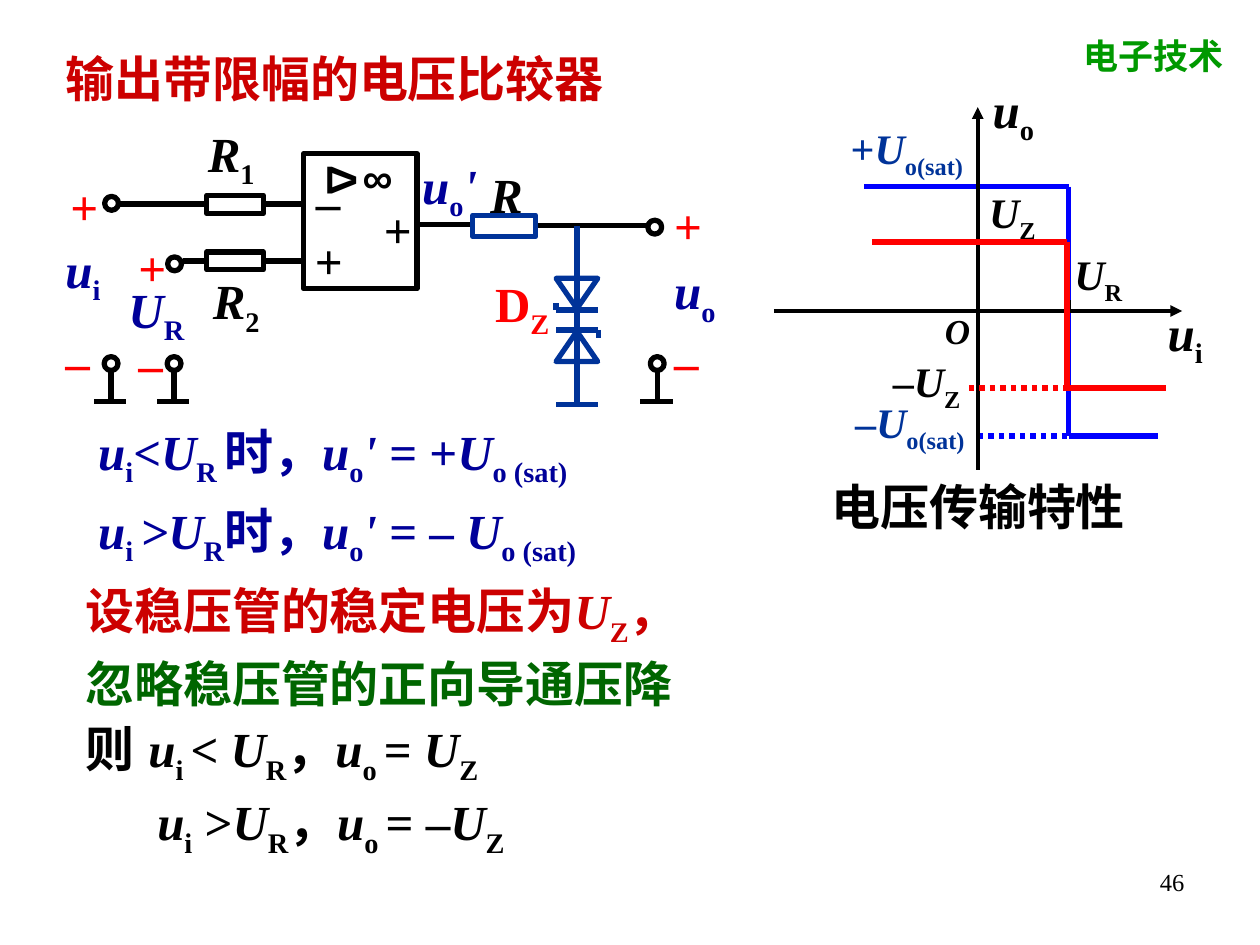
from lxml import etree
from pptx import Presentation
from pptx import util as u
from pptx.dml.color import RGBColor
from pptx.enum import dml, shapes, text
from pptx.oxml.ns import qn

COLORS = {"black": "000000", "red": "FF0000", "title": "CC0000", "navy": "000099",
          "blue": "003399", "curve": "0000FF", "green": "006600", "header": "009900"}
SERIF, SANS = "Times New Roman", "Arial"
FRAME = {"word_wrap": True, "auto_size": text.MSO_AUTO_SIZE.NONE,
         "vertical_anchor": text.MSO_ANCHOR.TOP,
         "margin_left": u.Cm(0.25), "margin_right": u.Cm(0.25),
         "margin_top": u.Cm(0.13), "margin_bottom": u.Cm(0.13)}

# Markup: runs are parted by "|"; "/" starts an italic run, "_" a subscript.
SIGNAL_LABELS = [  # left, top, width, markup, size, colour
    (8.26, 3, 2.11, "/u|_o|/'", 28, "navy"),
    (2.34, 5.51, 1.9, "/U|_R", 28, "navy"),
    (13.34, 5.13, 1.9, "/u|_o", 28, "navy"),
    (1.07, 4.7, 1.9, "/u|_i", 28, "navy"),
    (9.73, 5.38, 1.9, "D|_Z", 28, "red"),
    (9.63, 3.18, 1.3, "/R", 28, "black"),
    (3.94, 2.36, 1.55, "/R|_1", 28, "black"),
    (4.04, 5.33, 1.5, "/R|_2", 28, "black"),
    (6.12, 3.33, 1.4, "–", 28, "black"),
    (6.1, 4.52, 1.2, "+", 28, "black"),
    (7.49, 3.89, 1.4, "+", 28, "black"),
]
POLARITY_SIGNS = [(13.34, 3.81, "+"), (1.17, 3.43, "+"), (2.54, 4.65, "+"),
                  (13.34, 6.55, "–"), (1.07, 6.55, "–"), (2.54, 6.6, "–")]
GRAPH_LABELS = [
    (19.69, 3.63, 2.03, "/U|_Z", 24, "black"),
    (17.75, 7.04, 2.2, "–|/U|_Z", 24, "black"),
    (16.99, 7.87, 3.4, "–|/U|_o(sat)", 24, "blue"),
    (16.9, 2.34, 3.4, "+|/U|_o(sat)", 24, "blue"),
    (23.29, 5.97, 1.6, "/u|_i", 28, "black"),
    (19.76, 1.47, 1.83, "/u|_o", 28, "black"),
    (18.8, 6.1, 1.14, "/O", 20, "black"),
    (21.41, 4.88, 1.5, "/U|_R", 24, "black"),
    (16.51, 9.47, 7.77, "电压传输特性", 28, "black"),
]
SATURATION = ["/u|_i|/<U|_R|\t时，|/u|_o|/' |= +|/U|_o (sat)",
              "/u|_i |/>U|_R|\t时，|/u|_o|/' |= – |/U|_o (sat)"]
LIMITING = [  # markup, colour, indent
    ("设稳压管的稳定电压为|/U|_Z|，", "title", 0),
    ("忽略稳压管的正向导通压降", "green", 0),
    ("则\t|/u|_i |< |/U|_R|，|/u|_o |=|/ U|_Z", "black", 0),
    ("/u|_i| >|/U|_R|，|/u|_o |= –|/U|_Z", "black", 1.45),
]


def set_all(target, values):
    for name, value in values.items():
        setattr(target, name, value)


def rgb(color):
    return RGBColor.from_string(COLORS[color])


def place(shape, left, top, width, height):
    set_all(shape, dict(zip(("left", "top", "width", "height"),
                            map(u.Cm, (left, top, width, height)))))


def write(paragraph, markup, size, color, font=SERIF, bold=True):
    for part in markup.split("|"):
        run = paragraph.add_run()
        run.text = part.lstrip("/_")
        set_all(run.font, {"name": font, "size": u.Pt(size), "bold": bold,
                           "italic": part.startswith("/")})
        run.font.color.rgb = rgb(color)
        if part.startswith("_"):
            run.font._element.set("baseline", "-25000")


def set_layout(paragraph, before, indent=0, tab=None):
    """Unbulleted paragraph with a left indent and an optional tab stop, in cm."""
    paragraph.space_before = u.Pt(before)
    props = paragraph._p.get_or_add_pPr()
    props.set("marL", str(u.Cm(indent)))
    props.set("indent", "0")
    etree.SubElement(props, qn("a:buNone"))
    if tab:
        stops = etree.SubElement(props, qn("a:tabLst"))
        etree.SubElement(stops, qn("a:tab"), pos=str(u.Cm(tab)), algn="l")


def paragraphs(frame, count):
    return [frame.paragraphs[0]] + [frame.add_paragraph() for _ in range(count - 1)]


def add_label(slide, left, top, width, markup, size, color, font=SERIF, bold=True):
    box = slide.shapes.add_textbox(*map(u.Cm, (left, top, width, size * 0.055)))
    set_all(box.text_frame, FRAME)
    write(box.text_frame.paragraphs[0], markup, size, color, font, bold)
    return box


def add_outline(slide, kind, left, top, width, height, color="black", rotation=0):
    part = slide.shapes.add_shape(kind, *map(u.Cm, (left, top, width, height)))
    part.rotation = rotation
    part.shadow.inherit = False
    part.fill.background()
    part.line.color.rgb = rgb(color)
    part.line.width = u.Pt(3)


def add_line(slide, x1, y1, x2, y2, color="black", width=3, dotted=False, arrow=False):
    line = slide.shapes.add_connector(shapes.MSO_CONNECTOR.STRAIGHT,
                                      *map(u.Cm, (x1, y1, x2, y2)))
    line.line.color.rgb = rgb(color)
    line.line.width = u.Pt(width)
    if dotted:
        line.line.dash_style = dml.MSO_LINE.ROUND_DOT
    if arrow:
        etree.SubElement(line.line._get_or_add_ln(), qn("a:tailEnd"), type="triangle")
    etree.SubElement(line._element.spPr, qn("a:effectLst"))


def add_terminal(slide, x, y):
    add_outline(slide, shapes.MSO_SHAPE.OVAL, x - 0.14, y - 0.14, 0.28, 0.28)


def add_ground(slide, x):
    add_terminal(slide, x, 7.33)
    add_line(slide, x, 7.47, x, 8.1)
    add_line(slide, x - 0.34, 8.1, x + 0.31, 8.1)


def add_zener(slide, bar_y, top, tick_x, tick_y, rotation):
    add_outline(slide, shapes.MSO_SHAPE.ISOSCELES_TRIANGLE,
                11.21, top, 0.84, 0.61, "blue", rotation)
    add_line(slide, 11.21, bar_y, 12.06, bar_y, "blue")
    add_line(slide, tick_x, bar_y, tick_x, tick_y, "blue")


def add_circuit(slide):
    box = shapes.MSO_SHAPE.RECTANGLE
    for wire in [(2.34, 4.11, 4.17, 4.11), (3.68, 5.26, 4.17, 5.26),
                 (5.31, 4.11, 6.12, 4.11), (5.31, 5.26, 6.12, 5.26),
                 (8.41, 4.52, 9.53, 4.52), (10.8, 4.55, 13.1, 4.55)]:
        add_line(slide, *wire)
    for resistor_y in (3.94, 5.08):
        add_outline(slide, box, 4.17, resistor_y, 1.14, 0.36)
    add_outline(slide, box, 9.53, 4.34, 1.27, 0.43, "blue")
    add_outline(slide, box, 6.12, 3.1, 2.29, 2.72)
    add_line(slide, 11.63, 4.55, 11.63, 8.15, "blue")
    add_line(slide, 11.21, 8.15, 12.06, 8.15, "blue")
    add_zener(slide, 6.25, 5.61, 11.21, 6.1, 180)
    add_zener(slide, 6.65, 6.68, 12.06, 6.81, 0)
    for terminal in [(2.25, 4.1), (3.52, 5.32), (13.2, 4.58)]:
        add_terminal(slide, *terminal)
    for ground_x in (2.24, 3.51, 13.25):
        add_ground(slide, ground_x)
    for label in SIGNAL_LABELS:
        add_label(slide, *label)
    for left, top, sign in POLARITY_SIGNS:
        add_label(slide, left, top, 1.27, sign, 28, "red")
    add_label(slide, 7.06, 2.92, 2.31, "∞", 24, "black", SANS)
    amplifier = add_label(slide, 6.43, 2.97, 1.02, "Δ", 24, "black", SANS)
    amplifier.height, amplifier.rotation = u.Cm(1.27), 90
    amplifier.text_frame.paragraphs[0].alignment = text.PP_ALIGN.CENTER


def add_curve(slide, color, start, end, step_x, high, low, dots_from):
    add_line(slide, start, high, step_x, high, color)
    add_line(slide, step_x, high, step_x, low, color)
    add_line(slide, step_x, low, end, low, color)
    add_line(slide, dots_from, low, step_x, low, color, dotted=True)


def add_transfer_graph(slide):
    for label in GRAPH_LABELS:
        add_label(slide, *label)
    add_curve(slide, "curve", 17.42, 23.34, 21.54, 3.76, 8.79, 19.71)
    add_line(slide, 15.6, 6.27, 23.83, 6.27, width=2.25, arrow=True)
    add_line(slide, 19.71, 9.47, 19.71, 2.16, width=2.25, arrow=True)
    add_line(slide, 21.54, 6.05, 21.54, 6.27)
    add_curve(slide, "red", 17.58, 23.5, 21.51, 4.88, 7.82, 19.53)


def fill_placeholders(slide):
    title, body = slide.shapes.title, slide.placeholders[1]
    place(title, 1.07, 0.84, 14.6, 1.27)
    place(body, 1.47, 11.58, 15.67, 5.87)
    for holder in (title, body):
        set_all(holder.text_frame, FRAME)
    heading = title.text_frame.paragraphs[0]
    heading.alignment = text.PP_ALIGN.LEFT
    write(heading, "输出带限幅的电压比较器", 28, "title")
    lines = paragraphs(body.text_frame, len(LIMITING))
    for line, (markup, color, indent) in zip(lines, LIMITING):
        set_layout(line, 3.5, indent, tab=1.9)
        write(line, markup, 28, color)


def add_saturation_rules(slide):
    box = slide.shapes.add_textbox(*map(u.Cm, (1.73, 8.36, 12, 3.2)))
    set_all(box.text_frame, FRAME)
    for line, markup in zip(paragraphs(box.text_frame, len(SATURATION)), SATURATION):
        set_layout(line, 7, tab=2.95)
        write(line, markup, 28, "navy")


def main():
    deck = Presentation()
    deck.slide_width, deck.slide_height = u.Cm(25.4), u.Cm(19.05)
    slide = deck.slides.add_slide(deck.slide_layouts[1])
    add_label(slide, 21.59, 0.56, 3.68, "电子技术", 20, "header")
    fill_placeholders(slide)
    add_circuit(slide)
    add_transfer_graph(slide)
    add_saturation_rules(slide)
    page = add_label(slide, 18.21, 17.35, 5.92, "46", 14, "black", bold=False)
    page.text_frame.paragraphs[0].alignment = text.PP_ALIGN.RIGHT
    deck.save("out.pptx")


if __name__ == "__main__":
    main()
